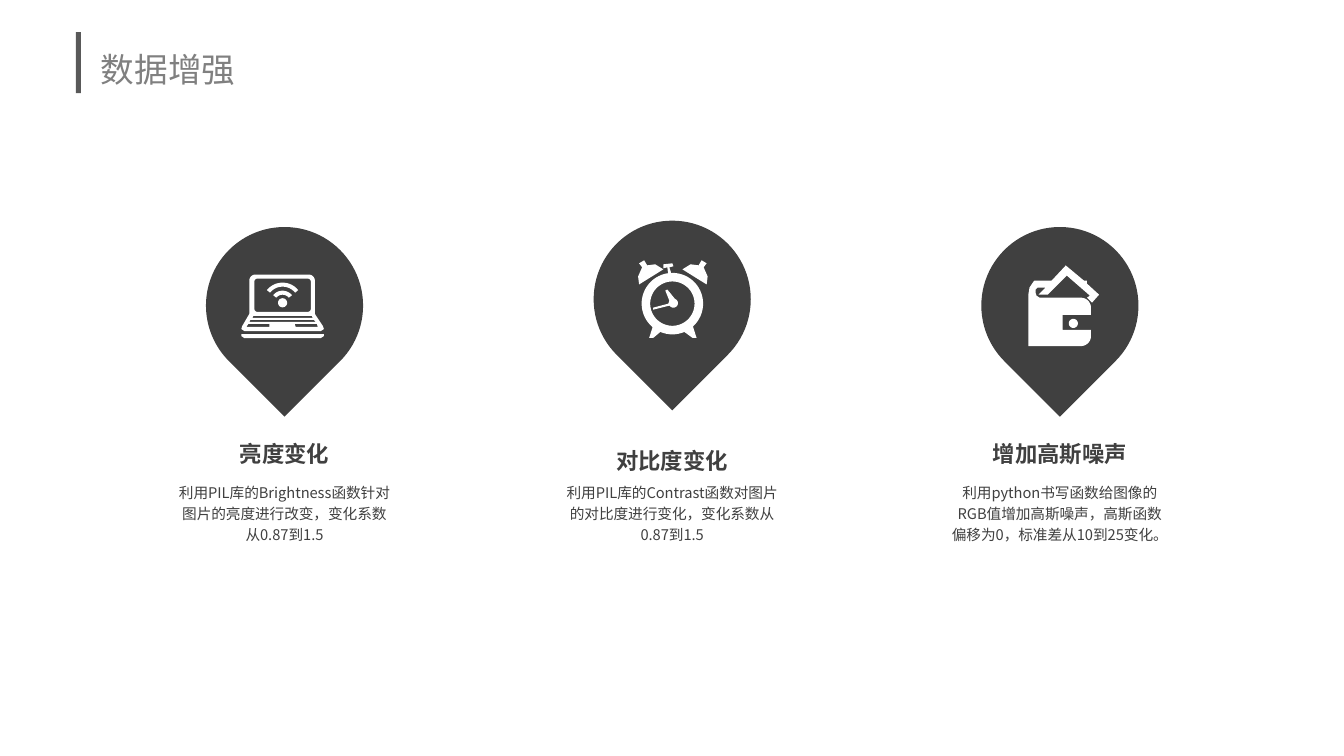
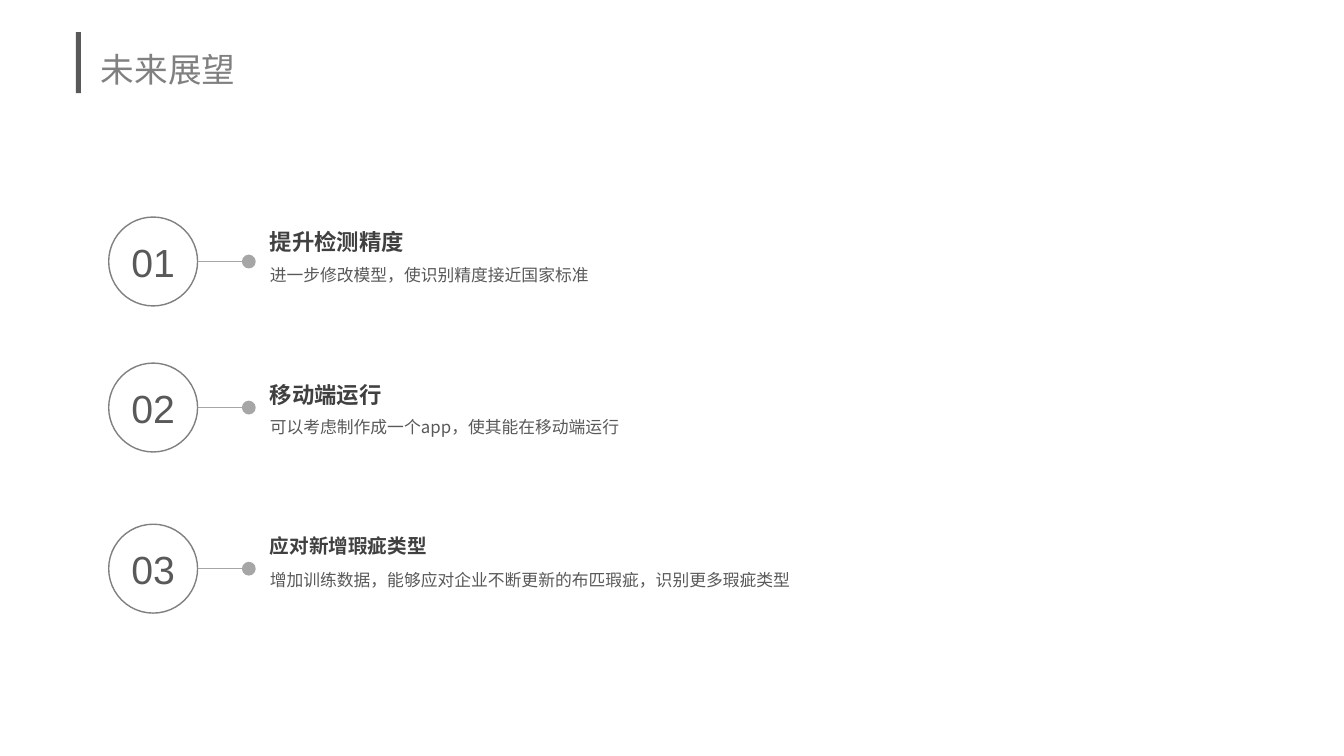
import math

import pptx
import pptx.dml.color
import pptx.enum.shapes
import pptx.enum.text
import pptx.oxml.ns
import pptx.util
from lxml import etree

Cm = pptx.util.Cm
Pt = pptx.util.Pt
Shape = pptx.enum.shapes.MSO_SHAPE
Align = pptx.enum.text.PP_ALIGN
Anchor = pptx.enum.text.MSO_ANCHOR
qn = pptx.oxml.ns.qn

COLORS = {
    "bar": "595959",
    "title": "808080",
    "dark": "404040",
    "text": "595959",
    "ring": "808080",
    "line": "A6A6A6",
    "white": "FFFFFF",
}
CJK_FONT = "Noto Sans CJK SC"
NUMBER_FONT = "Arial"
ICON_UNIT = 0.0254  # centimetres per unit of the icon grid


def rgb(name):
    return pptx.dml.color.RGBColor.from_string(COLORS[name])


# Icon outlines: each icon is a list of contours, filled even-odd

def arc(x, y, radius, start, end, step=6):
    """Points on an arc; angles in degrees, clockwise from the right."""
    count = max(2, math.ceil(abs(end - start) / step))
    angles = [math.radians(start + (end - start) * i / count) for i in range(count + 1)]
    return [(x + radius * math.cos(a), y + radius * math.sin(a)) for a in angles]


def circle(x, y, radius):
    return arc(x, y, radius, 0, 360)


def rounded(left, top, right, bottom, radius):
    return (arc(right - radius, top + radius, radius, -90, 0)
            + arc(right - radius, bottom - radius, radius, 0, 90)
            + arc(left + radius, bottom - radius, radius, 90, 180)
            + arc(left + radius, top + radius, radius, 180, 270))


def wave(x, y, outer, inner):
    return arc(x, y, outer, -141, -39) + arc(x, y, inner, -39, -141)


def laptop_icon():
    body = (arc(67, 6, 6, -90, 0)
            + [(73, 39), (81, 51), (82, 54), (79, 56), (3, 56), (0, 54), (1, 51), (8, 39)]
            + arc(14, 6, 6, 180, 270))
    return [
        body,
        rounded(13, 4, 69, 37, 3),
        wave(41, 28, 20, 16),
        wave(41, 28, 12, 8),
        circle(41, 28, 4.5),
        [(12, 41), (70, 41), (71, 43), (11, 43)],
        [(9, 45), (72, 45), (74, 47), (8, 47)],
        [(7, 49), (28, 49), (28, 52), (5, 52)],
        [(53, 49), (75, 49), (76, 52), (54, 52)],
        [(0, 59), (82, 59), (82, 61), (79, 63), (3, 63), (0, 61)],
    ]


def clock_icon():
    button = [(31, 7), (27, 8), (27, 4), (36, 3), (37, 6), (33, 7), (35, 13)]
    right_foot = [(60, 77), (56, 77)]
    left_foot = [(17, 77), (13, 77)]
    body = (arc(36, 43, 30.5, 130, 262) + button + arc(36, 43, 30.5, 270, 408)
            + right_foot + arc(36, 43, 30.5, 67, 113) + left_foot)
    bell = [(62, 5), (54, 4), (46, 9), (70, 24), (71, 16), (67, 7), (70, 3), (65, 0)]
    hands = ([(32, 43), (17, 47), (17, 49), (33, 45)] + arc(37, 42.5, 4.5, 140, -70)
             + [(31, 29), (29, 30), (33, 40)])
    return [body, circle(36, 43, 22), bell, [(73 - x, y) for x, y in bell], hands]


def wallet_icon():
    body = ([(11, 32)] + arc(52, 42, 10, -90, 0) + [(62, 49), (34, 49), (34, 64), (62, 64)]
            + arc(52, 70, 10, 0, 90)
            + [(0, 80), (0, 28), (1, 22), (5, 16), (6, 15), (23, 15), (37, 0), (55, 15),
               (58, 15), (58, 18), (70, 29), (63, 37), (58, 32), (61, 30), (38, 10),
               (19, 29), (10, 29), (17, 22), (9, 22), (7, 24), (7, 27), (8, 30)])
    return [body, circle(44.5, 57.5, 4.5)]


class Deck:
    """Holds the shared style and the current slide."""

    def __init__(self):
        self.presentation = pptx.Presentation()
        self.presentation.slide_width = Cm(33.87)
        self.presentation.slide_height = Cm(19.05)
        self.layout = self.presentation.slide_layouts[5]
        self.slide = None
        title = self.layout.placeholders[0]
        title.left, title.top = Cm(2.29), Cm(0.76)
        title.width, title.height = Cm(29.21), Cm(1.68)

    def add_slide(self, title):
        first = self.slide is None
        self.slide = self.presentation.slides.add_slide(self.layout)
        if first:  # the bar goes to the layout, shared by every slide
            bar = self.shape(Shape.RECTANGLE, 1.91, 0.81, 0.13, 1.54, fill="bar")
            self.layout.shapes.element.append(bar.element)
        frame = self.slide.shapes.title.text_frame
        frame.auto_size = pptx.enum.text.MSO_AUTO_SIZE.NONE
        frame.vertical_anchor = Anchor.MIDDLE
        self.set_text(frame, title, 24, "title", spacing=1.3)

    def set_text(self, frame, text, size, color, font=CJK_FONT, bold=False,
                 align=Align.LEFT, spacing=None):
        frame.text = text
        paragraph = frame.paragraphs[0]
        paragraph.alignment = align
        if spacing:
            paragraph.line_spacing = spacing
        run = paragraph.runs[0]
        run.font.size = Pt(size)
        run.font.bold = bold
        run.font.color.rgb = rgb(color)
        run.font.name = font
        east_asian = etree.SubElement(run.font._element, qn("a:ea"))
        east_asian.set("typeface", font)

    def paint(self, shape, fill=None, line=None):
        shape.shadow.inherit = False
        if fill:
            shape.fill.solid()
            shape.fill.fore_color.rgb = rgb(fill)
        else:
            shape.fill.background()
        if line:
            shape.line.color.rgb = rgb(line)
            shape.line.width = Pt(1)
        else:
            shape.line.fill.background()

    def shape(self, kind, left, top, width, height, fill=None, line=None):
        shape = self.slide.shapes.add_shape(kind, Cm(left), Cm(top), Cm(width), Cm(height))
        self.paint(shape, fill, line)
        return shape

    def text(self, left, top, width, height, text, size, color, insets=(0.25, 0.13), **style):
        frame = self.slide.shapes.add_textbox(
            Cm(left), Cm(top), Cm(width), Cm(height)).text_frame
        frame.word_wrap = True
        frame.margin_left = frame.margin_right = Cm(insets[0])
        frame.margin_top = frame.margin_bottom = Cm(insets[1])
        self.set_text(frame, text, size, color, **style)

    def icon(self, left, top, contours):
        precision = 100
        builder = None
        for contour in contours:
            points = [(x * precision, y * precision) for x, y in contour]
            if builder is None:
                builder = self.slide.shapes.build_freeform(
                    *points[0], scale=Cm(ICON_UNIT) / precision)
            else:
                builder.move_to(*points[0])
            builder.add_line_segments(points[1:], close=True)
        self.paint(builder.convert_to_shape(Cm(left), Cm(top)), fill="white")

    def pin(self, center, top):
        size = 3.96
        pin = self.shape(Shape.TEAR, center - size / 2, top, size, size, fill="dark")
        pin.rotation = 135

    def number(self, left, top, size, text):
        ring = self.shape(Shape.OVAL, left, top, size, size, line="ring")
        frame = ring.text_frame
        frame.word_wrap = False
        frame.vertical_anchor = Anchor.MIDDLE
        self.set_text(frame, text, 28, "text", font=NUMBER_FONT, align=Align.CENTER)

    def dotted_end_line(self, left, right, y):
        line = self.slide.shapes.add_connector(
            pptx.enum.shapes.MSO_CONNECTOR.STRAIGHT, Cm(left), Cm(y), Cm(right), Cm(y))
        line.line.color.rgb = rgb("line")
        line.line.width = Pt(0.5)
        properties = line.element.spPr
        etree.SubElement(properties.find(qn("a:ln")), qn("a:tailEnd"),
                         type="oval", w="lg", len="lg")
        etree.SubElement(properties, qn("a:effectLst"))


def augmentation_slide(deck):
    deck.add_slide("数据增强")
    # heading, description, icon, icon offset from pin centre and top, pin lift
    methods = [
        ("亮度变化", "利用PIL库的Brightness函数针对图片的亮度进行改变，变化系数从0.87到1.5",
         laptop_icon(), (-1.09, 1.2), 0),
        ("对比度变化", "利用PIL库的Contrast函数对图片的对比度进行变化，变化系数从0.87到1.5",
         clock_icon(), (-0.91, 1), 0.16),
        ("增加高斯噪声", "利用python书写函数给图像的RGB值增加高斯噪声，高斯函数偏移为0，标准差从10到25变化。",
         wallet_icon(), (-0.79, 0.97), 0),
    ]
    width, insets = 5.84, (0.18, 0.1)
    for i, (heading, description, icon, (dx, dy), lift) in enumerate(methods):
        center = 7.17 + 9.77 * i
        left, top = center - width / 2, 5.72 - lift
        deck.pin(center, top)
        deck.icon(center + dx, top + dy, icon)
        deck.text(left, 11 + lift, width, 0.89, heading, 16, "dark", insets,
                  bold=True, align=Align.CENTER)
        deck.text(left, 12.01, width, 1.75, description, 10.5, "dark", insets,
                  align=Align.CENTER, spacing=1.2)


def outlook_slide(deck):
    deck.add_slide("未来展望")
    # ring top, heading, heading size, description
    goals = [
        (5.47, "提升检测精度", 16, "进一步修改模型，使识别精度接近国家标准"),
        (9.15, "移动端运行", 16, "可以考虑制作成一个app，使其能在移动端运行"),
        (13.21, "应对新增瑕疵类型", 14, "增加训练数据，能够应对企业不断更新的布匹瑕疵，识别更多瑕疵类型"),
    ]
    ring_left, ring_size, text_left = 2.74, 2.24, 6.55
    for i, (top, heading, size, description) in enumerate(goals):
        deck.number(ring_left, top, ring_size, f"{i + 1:02}")
        deck.dotted_end_line(ring_left + ring_size, 6.27, top + ring_size / 2)
        text_top = 5.63 + 3.85 * i
        deck.text(text_left, text_top, 9.86, 0.94, heading, size, "dark", bold=True)
        deck.text(text_left, text_top + 0.8, 22.25, 0.81, description, 12, "text", spacing=1.2)


def main():
    deck = Deck()
    augmentation_slide(deck)
    outlook_slide(deck)
    deck.presentation.save("out.pptx")


if __name__ == "__main__":
    main()
